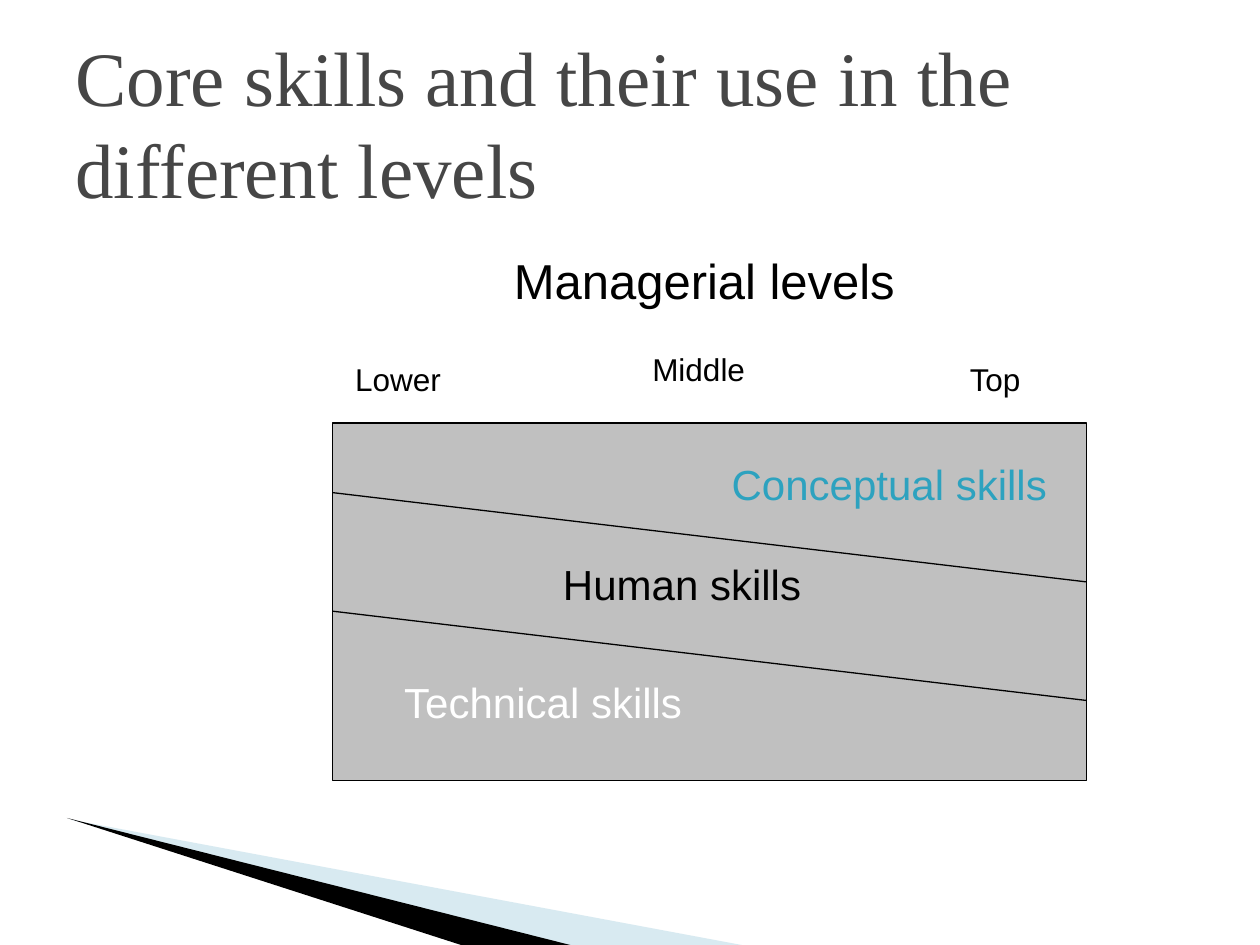
from dataclasses import dataclass

from lxml.etree import SubElement
from pptx import Presentation
from pptx.dml.color import RGBColor
from pptx.enum.shapes import MSO_CONNECTOR, MSO_SHAPE
from pptx.enum.text import MSO_ANCHOR
from pptx.oxml.ns import qn
from pptx.util import Cm, Pt


@dataclass(frozen=True)
class Theme:
    title_font: str = "Times New Roman"
    body_font: str = "Arial"
    title_size: int = 44
    title_spacing: float = 52.5
    heading_size: int = 28
    skill_size: int = 24
    level_size: int = 18
    line_width: float = 0.75
    title: str = "464646"
    black: str = "000000"
    white: str = "FFFFFF"
    accent: str = "2DA2BF"
    panel: str = "C0C0C0"
    pale: str = "9FCBDC"


THEME = Theme()


def rgb(code):
    return RGBColor.from_string(code)


def set_all(target, values):
    for name, value in values.items():
        setattr(target, name, value)


def paint(shape, color):
    shape.shadow.inherit = False
    shape.fill.solid()
    shape.fill.fore_color.rgb = rgb(color)


def outline(shape):
    shape.line.color.rgb = rgb(THEME.black)
    shape.line.width = Pt(THEME.line_width)


def add_text(page, text, place, size, color, font=THEME.body_font):
    box = page.shapes.add_textbox(*map(Cm, place))
    box.text_frame.word_wrap = True
    para = box.text_frame.paragraphs[0]
    span = para.add_run()
    span.text = text
    set_all(span.font, {"name": font, "size": Pt(size)})
    span.font.color.rgb = rgb(color)
    return box


def add_wedge(page, corners, color, opacity=100):
    start, *others = [(Cm(x), Cm(y)) for x, y in corners]
    builder = page.shapes.build_freeform(*start)
    builder.add_line_segments(others, close=True)
    wedge = builder.convert_to_shape()
    paint(wedge, color)
    wedge.line.fill.background()
    if opacity < 100:
        tint = wedge.fill._xPr.find(qn("a:solidFill"))[0]
        SubElement(tint, qn("a:alpha"), val=str(opacity * 1000))


def add_panel(page, place):
    panel = page.shapes.add_shape(MSO_SHAPE.RECTANGLE, *map(Cm, place))
    paint(panel, THEME.panel)
    outline(panel)


def add_divider(page, left, top, right, bottom):
    ends = map(Cm, (left, top, right, bottom))
    divider = page.shapes.add_connector(MSO_CONNECTOR.STRAIGHT, *ends)
    outline(divider)
    SubElement(divider._element.spPr, qn("a:effectLst"))


def add_title(page):
    box = add_text(page, "Core skills and their use in the different levels",
                   (1.27, 0.76, 22.86, 3.18), THEME.title_size, THEME.title,
                   THEME.title_font)
    set_all(box.text_frame, {"vertical_anchor": MSO_ANCHOR.MIDDLE,
                             "margin_top": Cm(0.33)})
    box.text_frame.paragraphs[0].line_spacing = Pt(THEME.title_spacing)


def main():
    deck = Presentation()
    set_all(deck, {"slide_width": Cm(25.4), "slide_height": Cm(19.05)})
    page = deck.slides.add_slide(deck.slide_layouts[6])

    # Corner decoration
    add_wedge(page, [(1.4, 16.52), (15.11, 19.08), (11.58, 19.08)],
              THEME.pale, opacity=40)
    add_wedge(page, [(1.35, 16.49), (11.61, 19.08), (9.45, 19.1)], THEME.black)

    add_title(page)

    # Skill panel with two parallel sloping dividers
    left, width, drop = 6.7, 15.2, 1.8
    add_panel(page, (left, 8.53, width, 7.2))
    for top in (9.93, 12.32):
        add_divider(page, left, top, left + width, top + drop)

    # Skill names
    for text, x, y, wide, color in (
        ("Conceptual skills", 14.5, 9.12, 7.01, THEME.accent),
        ("Human skills", 11.1, 11.13, 5.38, THEME.black),
        ("Technical skills", 7.9, 13.51, 7.21, THEME.white),
    ):
        add_text(page, text, (x, y, wide, 1.27), THEME.skill_size, color)

    # Managerial levels
    add_text(page, "Managerial levels", (10.11, 4.93, 8.41, 1.45),
             THEME.heading_size, THEME.black)
    for text, x, y, wide in (
        ("Lower", 6.91, 7.14, 2.79),
        ("Middle", 12.9, 6.93, 3.61),
        ("Top", 19.3, 7.14, 2.59),
    ):
        add_text(page, text, (x, y, wide, 1.02), THEME.level_size, THEME.black)

    deck.save("out.pptx")


if __name__ == "__main__":
    main()
